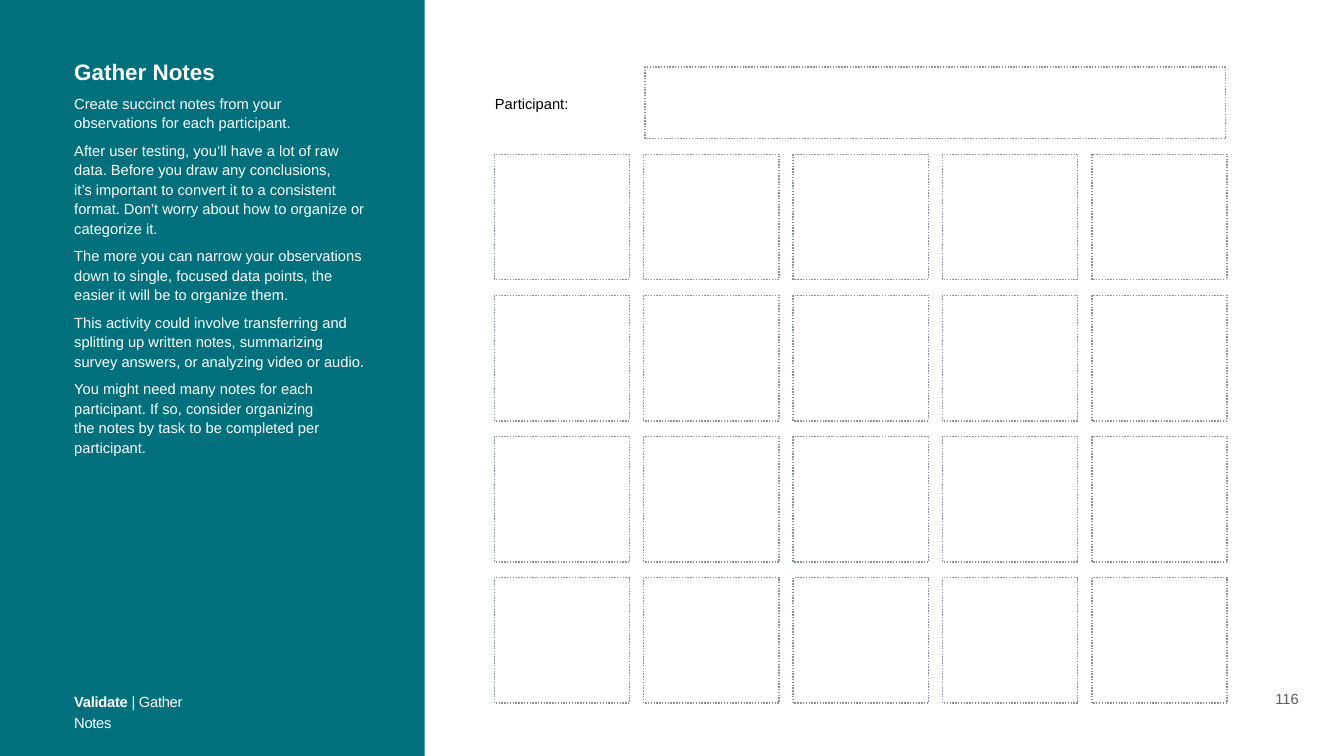
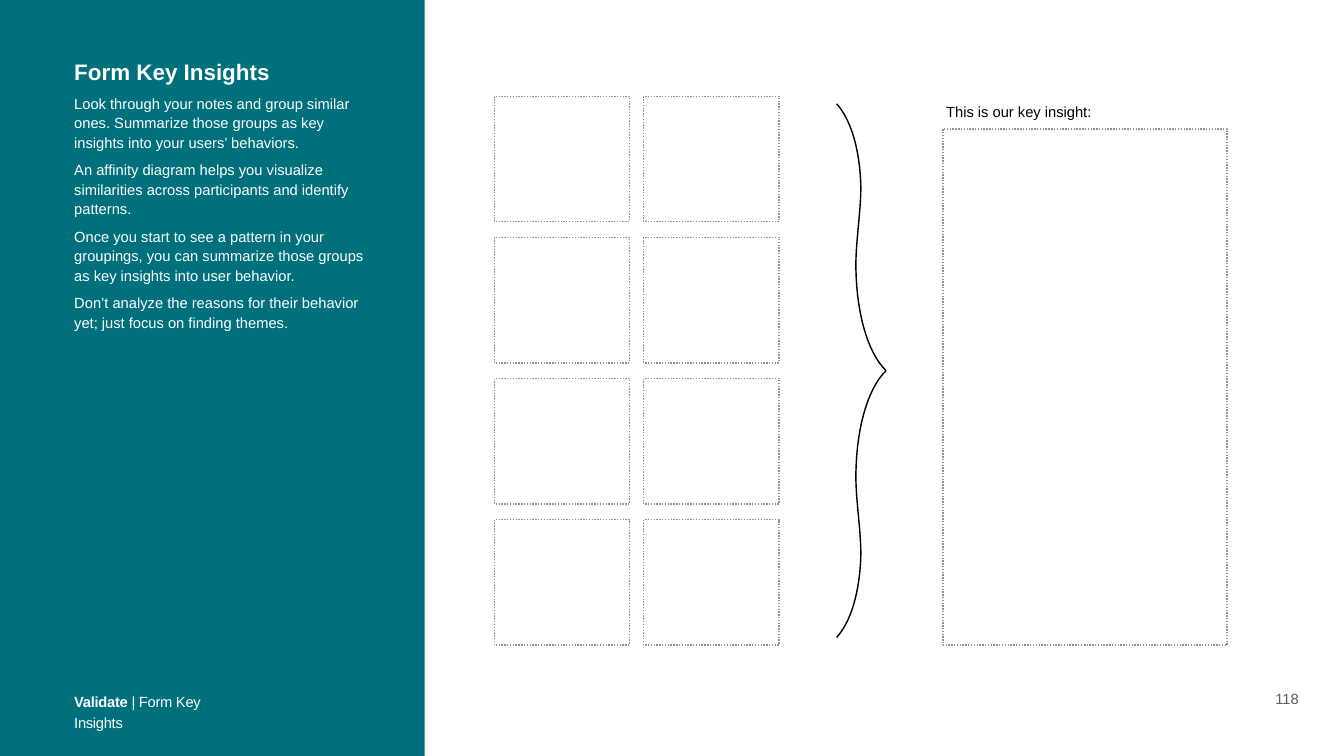
from pptx import Presentation
from pptx.dml.color import RGBColor
from pptx.enum.dml import MSO_LINE
from pptx.enum.shapes import MSO_SHAPE
from pptx.enum.text import MSO_ANCHOR, PP_ALIGN
from pptx.util import Pt

RECTANGLE = MSO_SHAPE.RECTANGLE
DOTTED = MSO_LINE.ROUND_DOT
TOP, MIDDLE, BOTTOM = MSO_ANCHOR.TOP, MSO_ANCHOR.MIDDLE, MSO_ANCHOR.BOTTOM
CENTER = PP_ALIGN.CENTER

FONT = "Arial"
TEAL, WHITE, BLACK = "00707D", "FFFFFF", "000000"
GRAY, OUTLINE = "5E5E5E", "87939D"
TITLE_SIZE, BODY_SIZE = 32, 21
INSET = 6
SLIDE_WIDTH, SLIDE_HEIGHT = 1920, 1080
PANEL_WIDTH = 606.5
MARGIN = 100
GRID_LEFT = 706.3
NOTE_WIDTH, NOTE_HEIGHT = 193, 179.3
COLUMN_PITCH, ROW_PITCH = 213.4, 201.6
CURVE_STEPS = 16

GATHER_NOTES = [
    "Create succinct notes from your observations for each participant.",
    "After user testing, you’ll have a lot of raw data. Before you draw any conclusions,\n"
    "it’s important to convert it to a consistent format. Don’t worry about how to "
    "organize or categorize it.",
    "The more you can narrow your observations down to single, focused data points, "
    "the easier it will be to organize them.",
    "This activity could involve transferring and splitting up written notes, "
    "summarizing survey answers, or analyzing video or audio.",
    "You might need many notes for each participant. If so, consider organizing\n"
    "the notes by task to be completed per participant.",
]
KEY_INSIGHTS = [
    "Look through your notes and group similar ones. Summarize those groups as key "
    "insights into your users’ behaviors.",
    "An affinity diagram helps you visualize similarities across participants and "
    "identify patterns.",
    "Once you start to see a pattern in your groupings, you can summarize those groups "
    "as key insights into user behavior.",
    "Don’t analyze the reasons for their behavior yet; just focus on finding themes.",
]


def color(value):
    return RGBColor.from_string(value)


def add_box(slide, left, top, width, height, fill=WHITE, line=OUTLINE):
    shape = slide.shapes.add_shape(RECTANGLE, Pt(left), Pt(top), Pt(width), Pt(height))
    shape.shadow.inherit = False
    shape.fill.solid()
    shape.fill.fore_color.rgb = color(fill)
    if line:
        shape.line.color.rgb = color(line)
        shape.line.width = Pt(2)
        shape.line.dash_style = DOTTED
    else:
        shape.line.fill.background()
    return shape


def add_text_frame(slide, left, top, width, height, anchor=TOP, inset=INSET, wrap=True):
    box = slide.shapes.add_textbox(Pt(left), Pt(top), Pt(width), Pt(height))
    text_frame = box.text_frame
    text_frame.word_wrap = wrap
    text_frame.vertical_anchor = anchor
    text_frame.margin_left = text_frame.margin_right = Pt(inset)
    text_frame.margin_top = text_frame.margin_bottom = Pt(inset)
    return text_frame


def format_run(run, fill, size=BODY_SIZE, bold=False):
    run.font.name = FONT
    run.font.size = Pt(size)
    run.font.bold = bold
    run.font.color.rgb = color(fill)


def add_label(slide, text, left, top, width, height, inset=INSET, wrap=True):
    text_frame = add_text_frame(slide, left, top, width, height, MIDDLE, inset, wrap)
    text_frame.text = text
    paragraph = text_frame.paragraphs[0]
    paragraph.line_spacing = 1.1
    format_run(paragraph.runs[0], BLACK)


def add_instructions(slide, title, texts, left, top, width, height):
    text_frame = add_text_frame(slide, left, top, width, height)
    text_frame.text = title
    format_run(text_frame.paragraphs[0].runs[0], WHITE, TITLE_SIZE, True)
    for text in texts:
        paragraph = text_frame.add_paragraph()
        paragraph.text = text
        paragraph.line_spacing = 1.1
        paragraph.space_before = Pt(12)
        for run in paragraph.runs:
            format_run(run, WHITE)


def add_footer(slide, title, left, top, width, height):
    paragraph = add_text_frame(slide, left, top, width, height).paragraphs[0]
    paragraph.line_spacing = 1.2
    for text, bold in (("Validate", True), (f" | {title}", False)):
        run = paragraph.add_run()
        run.text = text
        format_run(run, WHITE, bold=bold)
        run.font._element.set("spc", "-40")


def add_page_number(slide, number, left, top, width, height):
    text_frame = add_text_frame(slide, left, top, width, height, BOTTOM, wrap=False)
    text_frame.text = str(number)
    paragraph = text_frame.paragraphs[0]
    paragraph.alignment = CENTER
    format_run(paragraph.runs[0], GRAY)


def add_note_grid(slide, left, top, columns, rows):
    for row in range(rows):
        for column in range(columns):
            add_box(slide, left + column * COLUMN_PITCH, top + row * ROW_PITCH,
                    NOTE_WIDTH, NOTE_HEIGHT)


def bezier_point(points, t):
    weights = ((1 - t) ** 3, 3 * t * (1 - t) ** 2, 3 * t * t * (1 - t), t ** 3)
    return tuple(sum(weight * point[axis] for weight, point in zip(weights, points))
                 for axis in (0, 1))


def add_brace(slide, left, top, width, height):
    controls = [(0, 0), (0.29, 0.06), (0.47, 0.17), (0.49, 0.31), (0.49, 0.4),
                (0.4, 0.5), (0.39, 0.59), (0.38, 0.77), (0.61, 0.93), (1, 1)]
    curve = [controls[0]]
    for start in range(0, len(controls) - 1, 3):
        curve += [bezier_point(controls[start:start + 4], step / CURVE_STEPS)
                  for step in range(1, CURVE_STEPS + 1)]
    group = slide.shapes.add_group_shape()
    for end, direction in ((top, 1), (top + height, -1)):
        points = [(Pt(left + x * width), Pt(end + direction * y * height / 2))
                  for x, y in curve]
        builder = group.shapes.build_freeform(*points[0])
        builder.add_line_segments(points[1:], close=False)
        shape = builder.convert_to_shape()
        shape.shadow.inherit = False
        shape.fill.background()
        shape.line.color.rgb = color(BLACK)
        shape.line.width = Pt(2)


def add_activity_slide(presentation, title, texts, number, footer_width):
    slide = presentation.slides.add_slide(presentation.slide_layouts[6])
    add_box(slide, 0, 0, PANEL_WIDTH, SLIDE_HEIGHT, TEAL, None)
    add_footer(slide, title, MARGIN, 978, footer_width, 36.5)
    add_page_number(slide, number, 1815, 980, 47.5, 36)
    add_instructions(slide, title, texts, MARGIN, 76.3, 428, 570)
    return slide


def add_participant_field(slide, left, top, width, height):
    label_width = 218
    add_label(slide, "Participant:", left, top + 35.3, label_width, 32.4, 4.3)
    add_box(slide, left + label_width + 1, top, width - label_width - 1, height)


def add_insight_field(slide, left, top, width, height):
    label_height = 44.6
    add_label(slide, "This is our key insight:", left - 1.4, top, 221, 36, wrap=False)
    add_box(slide, left, top + label_height, width, height - label_height)


def main():
    presentation = Presentation()
    presentation.slide_width = Pt(SLIDE_WIDTH)
    presentation.slide_height = Pt(SLIDE_HEIGHT)

    slide = add_activity_slide(presentation, "Gather Notes", GATHER_NOTES, 116, 223)
    add_note_grid(slide, GRID_LEFT, 220.3, 5, 4)
    add_participant_field(slide, 702.7, 95.8, 1048.3, 102.2)

    slide = add_activity_slide(presentation, "Form Key Insights", KEY_INSIGHTS, 118, 265.7)
    add_note_grid(slide, GRID_LEFT, 137.5, 2, 4)
    add_brace(slide, 1195.2, 148.3, 70.6, 762.5)
    add_insight_field(slide, 1347, 139.7, 406, 781.9)

    presentation.save("out.pptx")


if __name__ == "__main__":
    main()
